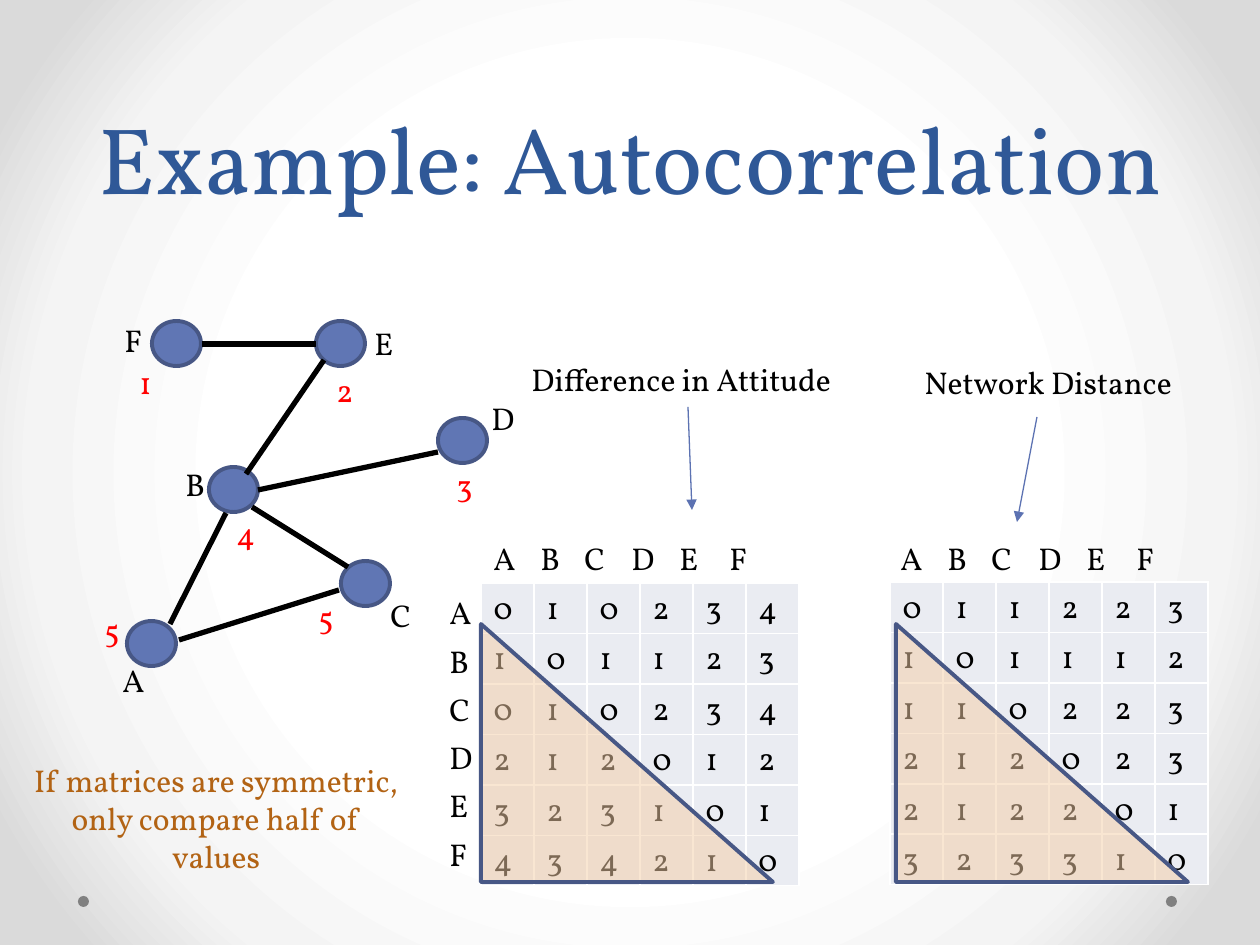
from lxml import etree
from pptx import Presentation
from pptx import util as u
from pptx.dml.color import RGBColor
from pptx.enum import shapes, text
from pptx.oxml import parse_xml
from pptx.oxml.ns import nsdecls, qn

FONT = "Vollkorn"
COLORS = {
    "title": "2F5897", "node": "6076B4", "outline": "475785", "ink": "000000",
    "value": "FF0000", "arrow": "5C72B2", "cell": "EAECF2", "grid": "FFFFFF",
    "half": "F5CEA7", "note": "B26314", "dot": "808080",
}
BACKDROP = [(50, "FFFFFF"), (76, "F4F4F4"), (92, "DADADA")]
TITLE = "Example: Autocorrelation"
NOTE = "If matrices are symmetric, only compare half of values"
ACTORS = "ABCDEF"
NODES = [
    ("A", "5", (127, 621), (110, 655), (92, 605)),
    ("B", "4", (209, 467), (173, 459), (224, 508)),
    ("C", "5", (341, 561), (378, 590), (306, 592)),
    ("D", "3", (438, 418), (479, 393), (444, 460)),
    ("E", "2", (316, 321), (362, 318), (324, 365)),
    ("F", "1", (152, 321), (112, 315), (127, 357)),
]
TIES = [
    (170, 624, 226, 513), (246, 474, 324, 360), (258, 490, 438, 452),
    (252, 507, 348, 567), (202, 344, 316, 344), (179, 640, 339, 590),
]
MATRICES = [
    {"caption": "Difference in Attitude", "caption_at": (519, 354),
     "arrow": (688, 407, 692, 510), "header_at": (481, 533),
     "grid_at": (481, 583), "half_at": (481, 624),
     "rows": ["010234", "101123", "010234", "212012", "323101", "434210"]},
    {"caption": "Network Distance", "caption_at": (912, 357),
     "arrow": (1037, 417, 1017, 522), "header_at": (888, 533),
     "grid_at": (890, 582), "half_at": (896, 624),
     "rows": ["011223", "101112", "110223", "212023", "212201", "323310"]},
]
HEADER_TABS = [47, 91, 138, 186, 236]
DOTS = [(78, 896), (1166, 896)]
COLUMN, ROW, LINE = 53, 50, 50


def px(length):
    return u.Emu(round(length * 914400 / 126))


def rgb(name):
    return RGBColor.from_string(COLORS[name])


def add_run(paragraph, words, color, size=18):
    run = paragraph.add_run()
    run.text = words
    run.font.name = FONT
    run.font.size = u.Pt(size)
    run.font.color.rgb = rgb(color)


def add_words(at, width, height, lines, color="ink", size=18, align=None, after=None):
    frame = slide.shapes.add_textbox(*map(px, (*at, width, height))).text_frame
    frame.word_wrap = True
    for index, words in enumerate(lines):
        paragraph = frame.add_paragraph() if index else frame.paragraphs[0]
        paragraph.alignment = align
        if after:
            paragraph.space_after = u.Pt(after)
        add_run(paragraph, words, color, size)
    return frame


def add_outline(preset, at, width, height, fill, line=None):
    shape = slide.shapes.add_shape(preset, *map(px, (*at, width, height)))
    shape.shadow.inherit = False
    shape.fill.solid()
    shape.fill.fore_color.rgb = rgb(fill)
    if line:
        shape.line.color.rgb = rgb(line)
        shape.line.width = u.Pt(2.25)
    else:
        shape.line.fill.background()
    return shape


def add_line(ends, color, width, arrow=False):
    line = slide.shapes.add_connector(shapes.MSO_CONNECTOR.STRAIGHT, *map(px, ends))
    line.line.color.rgb = rgb(color)
    line.line.width = u.Pt(width)
    if arrow:
        etree.SubElement(line.line._get_or_add_ln(), qn("a:tailEnd"), type="triangle")
    etree.SubElement(line._element.spPr, qn("a:effectLst"))


def add_header(at):
    frame = add_words(at, 375, LINE, ["\t".join(ACTORS)])
    tabs = etree.SubElement(frame.paragraphs[0]._p.get_or_add_pPr(), qn("a:tabLst"))
    for stop in HEADER_TABS:
        etree.SubElement(tabs, qn("a:tab"), pos=str(px(stop)), algn="l")


def add_grid(at, rows):
    count = len(rows)
    table = slide.shapes.add_table(
        count, count, *map(px, (*at, COLUMN * count, ROW * count))).table
    table.first_row = table.horz_banding = False
    for column in table.columns:
        column.width = px(COLUMN)
    for row, values in zip(table.rows, rows):
        row.height = px(ROW)
        for cell, value in zip(row.cells, values):
            cell.fill.solid()
            cell.fill.fore_color.rgb = rgb("cell")
            add_run(cell.text_frame.paragraphs[0], value, "ink")
            for index, side in enumerate("LRTB"):
                cell._tc.get_or_add_tcPr().insert(index, parse_xml(
                    f'<a:ln{side} {nsdecls("a")} w="12700"><a:solidFill>'
                    f'<a:srgbClr val="{COLORS["grid"]}"/></a:solidFill></a:ln{side}>'))


def paint_backdrop():
    slide.background.fill.gradient()
    gradient = slide._element.find(".//" + qn("a:gradFill"))
    stops = "".join(f'<a:gs pos="{pos * 1000}"><a:srgbClr val="{color}"/></a:gs>'
                    for pos, color in BACKDROP)
    gradient.getparent().replace(gradient, parse_xml(
        f'<a:gradFill {nsdecls("a")} rotWithShape="1"><a:gsLst>{stops}</a:gsLst>'
        '<a:path path="circle"><a:fillToRect l="50000" t="50000" r="50000" b="50000"/>'
        '</a:path></a:gradFill>'))


deck = Presentation()
deck.slide_width, deck.slide_height = px(1260), px(945)
slide = deck.slides.add_slide(deck.slide_layouts[6])
paint_backdrop()
preset = shapes.MSO_SHAPE
center = text.PP_ALIGN.CENTER

for at in DOTS:
    add_outline(preset.OVAL, at, 11, 11, "dot")
title = add_words((63, 0), 1134, 220, [TITLE], "title", 54, center)
title.vertical_anchor = text.MSO_ANCHOR.BOTTOM
title.paragraphs[0].line_spacing = u.Pt(58)

for actor, attitude, node_at, actor_at, attitude_at in NODES:
    add_outline(preset.OVAL, node_at, 49, 45, "node", "outline")
    add_words(actor_at, 84, LINE, [actor])
    add_words(attitude_at, 59, LINE, [attitude], "value")
for ends in TIES:
    add_line(ends, "ink", 3)

add_words((437, 587), 48, 295, ACTORS, after=6)
for matrix in MATRICES:
    add_grid(matrix["grid_at"], matrix["rows"])
    add_header(matrix["header_at"])
    add_line(matrix["arrow"], "arrow", 0.75, arrow=True)
    add_words(matrix["caption_at"], 377, LINE, [matrix["caption"]])
    half = add_outline(preset.RIGHT_TRIANGLE, matrix["half_at"], 292, 258, "half", "outline")
    tint = half._element.spPr.find(qn("a:solidFill"))[0]
    etree.SubElement(tint, qn("a:alpha"), val="51000")

add_words((19, 755), 394, 127, [NOTE], "note", align=center)
deck.save("out.pptx")
